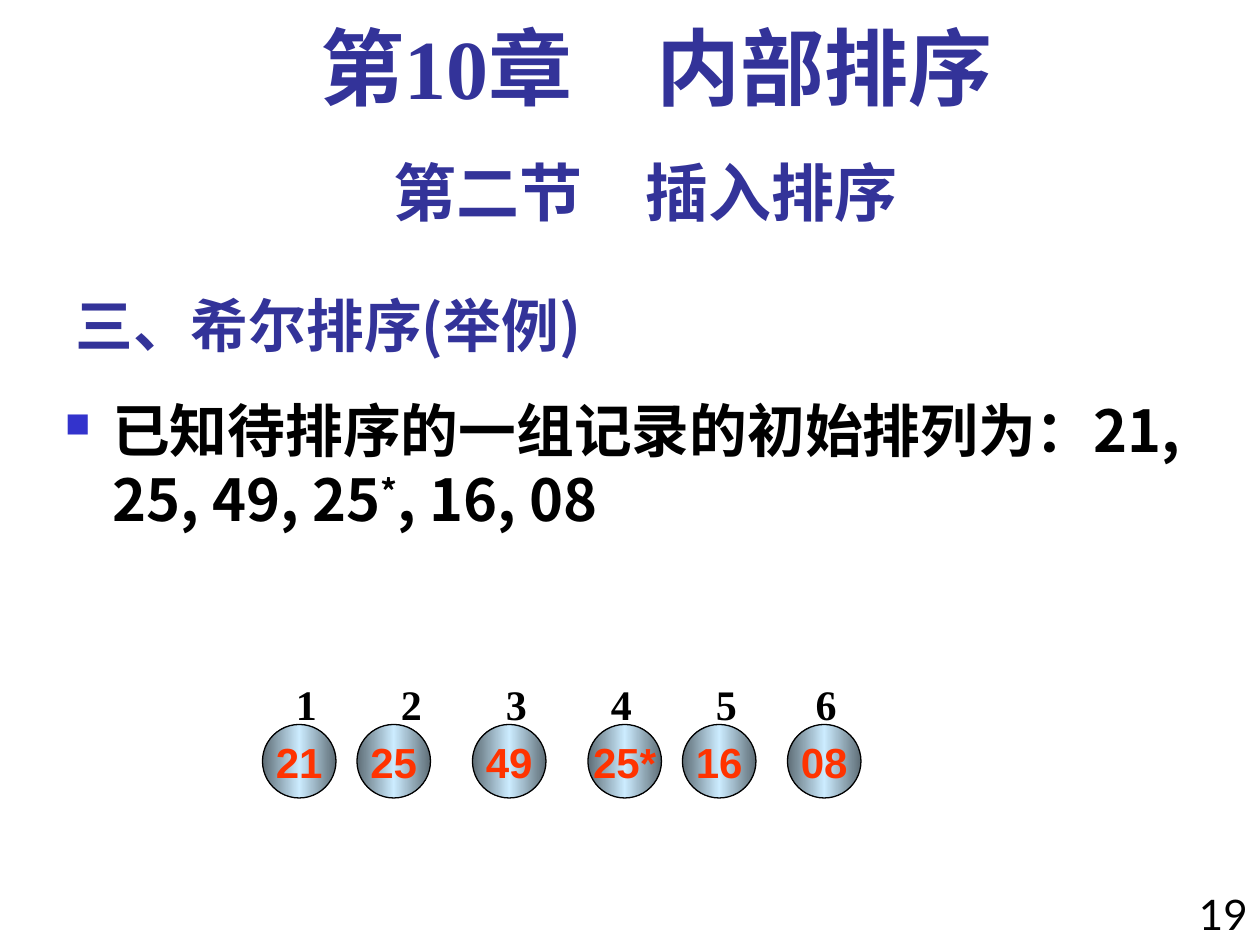
from copy import deepcopy
from dataclasses import dataclass

from lxml import etree
from pptx import Presentation
from pptx import util as u
from pptx.dml import color
from pptx.enum import shapes, text
from pptx.oxml import ns


@dataclass(frozen=True)
class Theme:
    """Fonts, colours and type sizes of the slide."""
    heading: str = "333399"
    ink: str = "000000"
    bullet: str = "3333CC"
    key: str = "FF3300"
    rim: str = "5E6D76"
    shine: str = "CCECFF"
    cjk: str = "Noto Sans CJK SC"
    serif: str = "Times New Roman"
    sans: str = "Arial"
    plain: str = "Lato"
    chapter_size: int = 48
    section_size: int = 36
    body_size: int = 33
    small_size: int = 24


THEME = Theme()
CENTER, RIGHT = text.PP_ALIGN.CENTER, text.PP_ALIGN.RIGHT
BALL_TOP, BALL_SIZE = 414, 42
RECORDS = [("21", 150), ("25", 204), ("49", 270), ("25*", 336), ("16", 390), ("08", 450)]
INDEX_STOPS = [60, 120, 180, 240, 297]


def add_child(parent, tag, **attributes):
    """Append a DrawingML element to a parent."""
    return etree.SubElement(parent, ns.qn(tag), **attributes)


def style_span(span, font, size, ink, bold=True):
    """Apply typeface, size, colour and weight to a run."""
    span.font.name = font
    span.font.size = u.Pt(size)
    span.font.bold = bold
    span.font.color.rgb = color.RGBColor.from_string(ink)
    add_child(span.font._element, "a:ea", typeface=THEME.cjk)


def add_text(page, area, wording, font, size, ink, align=None, bold=True):
    """Add a one-paragraph text box and return it."""
    box = page.shapes.add_textbox(*map(u.Pt, area))
    box.text_frame.word_wrap = True
    para = box.text_frame.paragraphs[0]
    para.text = wording
    para.alignment = align
    for span in para.runs:
        style_span(span, font, size, ink, bold)
    return box


def add_record_list(page):
    """Add the bulleted list of records with its raised asterisk."""
    box = page.shapes.add_textbox(*map(u.Pt, (30, 222, 690, 318)))
    box.text_frame.word_wrap = True
    para = box.text_frame.paragraphs[0]
    props = para._p.get_or_add_pPr()
    props.set("marL", str(u.Pt(27)))
    props.set("indent", str(u.Pt(-27)))
    add_child(add_child(props, "a:buClr"), "a:srgbClr", val=THEME.bullet)
    add_child(props, "a:buSzPct", val="60000")
    add_child(props, "a:buChar", char="■")
    for wording in ("已知待排序的一组记录的初始排列为：21, 25, 49, 25", "*", ", 16, 08"):
        span = para.add_run()
        span.text = wording
        style_span(span, THEME.cjk, THEME.body_size, THEME.ink)
    para.runs[1].font._element.set("baseline", "30000")


def add_index_row(page):
    """Add the position numbers, spaced by tab stops."""
    numbers = "\t".join(str(i) for i in range(1, len(RECORDS) + 1))
    box = add_text(page, (162, 384, 348, 36), numbers, THEME.serif, THEME.small_size, THEME.ink)
    tabs = add_child(box.text_frame.paragraphs[0]._p.get_or_add_pPr(), "a:tabLst")
    for stop in INDEX_STOPS:
        add_child(tabs, "a:tab", pos=str(u.Pt(stop)), algn="l")


def add_ball(page, key, left):
    """Add one shaded ball that holds a record key."""
    ball = page.shapes.add_shape(
        shapes.MSO_SHAPE.OVAL, *map(u.Pt, (left, BALL_TOP, BALL_SIZE, BALL_SIZE)))
    ball.shadow.inherit = False
    ball.line.color.rgb = color.RGBColor.from_string(THEME.ink)
    ball.line.width = u.Pt(0.75)
    ball.fill.gradient()
    ball.fill.gradient_angle = 0
    stops = ball._element.spPr.find(".//" + ns.qn("a:gsLst"))
    stops.append(deepcopy(stops[0]))
    shades = ((0, THEME.rim), (0.5, THEME.shine), (1, THEME.rim))
    for stop, (position, shade) in zip(ball.fill.gradient_stops, shades):
        stop.position = position
        stop.color.rgb = color.RGBColor.from_string(shade)
    frame = ball.text_frame
    frame.text = key
    frame.word_wrap = False
    frame.vertical_anchor = text.MSO_ANCHOR.MIDDLE
    frame.paragraphs[0].alignment = CENTER
    style_span(frame.paragraphs[0].runs[0], THEME.sans, THEME.small_size, THEME.key)


def main():
    """Build the slide and save it."""
    deck = Presentation()
    deck.slide_width, deck.slide_height = u.Pt(720), u.Pt(540)
    page = deck.slides.add_slide(deck.slide_layouts[6])
    topic = add_text(page, (36, 156, 450, 53), "三、希尔排序(举例)",
                     THEME.cjk, THEME.body_size, THEME.heading)
    topic.text_frame.vertical_anchor = text.MSO_ANCHOR.BOTTOM
    add_text(page, (672, 504, 48, 42), "19", THEME.plain, THEME.small_size,
             THEME.ink, RIGHT, bold=False)
    add_text(page, (36, 84, 666, 50), "第二节\u3000插入排序".replace("\u3000", "　"),
             THEME.plain, THEME.section_size, THEME.heading, CENTER)
    add_record_list(page)
    chapter = add_text(page, (48, 12, 654, 60), "第10章　内部排序", THEME.serif,
                       THEME.chapter_size, THEME.heading, CENTER)
    chapter.text_frame.paragraphs[0].line_spacing = 0.9
    add_index_row(page)
    for key, left in RECORDS:
        add_ball(page, key, left)
    deck.save("out.pptx")


if __name__ == "__main__":
    main()
